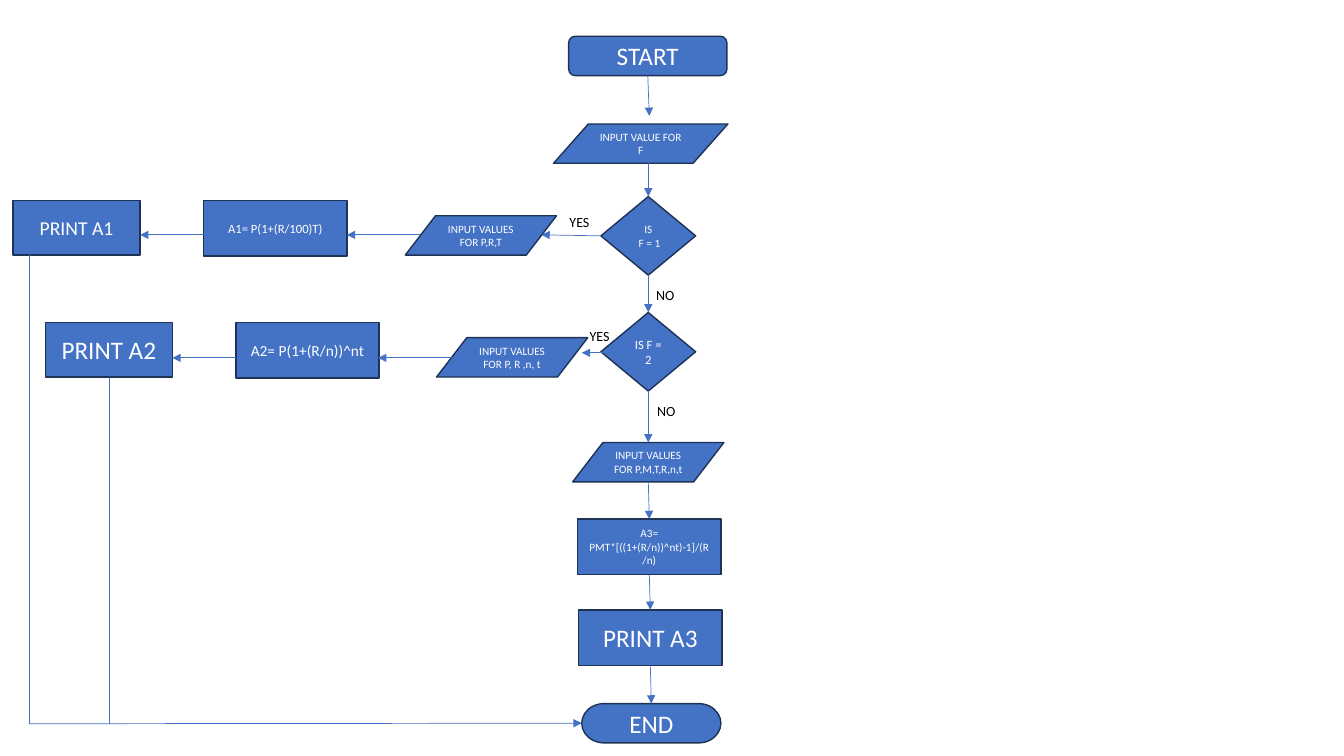
"""Build a flowchart slide that chooses between three interest formulas."""
from lxml import etree
from pptx import Presentation
from pptx.dml.color import RGBColor
from pptx.enum import shapes, text
from pptx.oxml import ns
from pptx.util import Inches, Pt

BLUE = RGBColor(0x44, 0x72, 0xC4)
NAVY = RGBColor(0x1E, 0x32, 0x56)
WHITE = RGBColor(0xFF, 0xFF, 0xFF)
BLACK = RGBColor(0, 0, 0)
FONT = "Calibri"
KIND = shapes.MSO_SHAPE
TOP, LEFT, BOTTOM = 0, 1, 2

SIZES = {
    "start": (KIND.FLOWCHART_ALTERNATE_PROCESS, 1.57, 0.39),
    "first input": (KIND.FLOWCHART_DATA, 1.73, 0.39),
    "input": (KIND.FLOWCHART_DATA, 1.5, 0.39),
    "decision": (KIND.FLOWCHART_DECISION, 0.94, 0.78),
    "formula": (KIND.FLOWCHART_PROCESS, 1.42, 0.55),
    "print": (KIND.FLOWCHART_PROCESS, 1.26, 0.54),
    "end": (KIND.FLOWCHART_TERMINATOR, 1.38, 0.39),
}

STEPS = {
    "start": ("start", 5.64, 0.36, "START", 18),
    "input F": ("first input", 5.49, 1.23, "INPUT VALUE FOR F", 8),
    "is 1": ("decision", 5.96, 1.95, "IS\n F = 1", 8),
    "is 2": ("decision", 5.96, 3.1, "IS F = 2", 9),
    "input 1": ("input", 4.02, 2.14, "INPUT VALUES FOR P,R,T", 8),
    "A1": ("formula", 2.02, 1.99, "A1= P(1+(R/100)T)", 9),
    "print 1": ("print", 0.13, 1.99, "PRINT A1", 14),
    "input 2": ("input", 4.33, 3.35, "INPUT VALUES FOR P, R ,n, t", 8),
    "A2": ("formula", 2.34, 3.2, "A2= P(1+(R/n))^nt", 11),
    "print 2": ("print", 0.45, 3.2, "PRINT A2", 18),
    "input 3": ("input", 5.68, 4.39, "INPUT VALUES FOR P,M,T,R,n,t", 8),
    "A3": ("formula", 5.73, 5.15, "A3= PMT*[((1+(R/n))^nt)-1]/(R/n)", 8),
    "print 3": ("formula", 5.74, 6.05, "PRINT A3", 18),
    "end": ("end", 5.77, 6.98, "END", 18),
}

# An end is either a point or a step with one of its sides.
LINKS = [
    (("start", BOTTOM), (6.44, 1.15), True),
    ((6.43, 1.62), ("is 1", TOP), True),
    (("is 1", LEFT), (5.37, 2.33), True),
    (("is 1", BOTTOM), ("is 2", TOP), True),
    ((4.17, 2.33), (3.44, 2.33), True),
    ((2.02, 2.33), (1.39, 2.33), True),
    ((6.14, 3.5), (5.77, 3.5), True),
    ((4.48, 3.55), (3.75, 3.55), True),
    ((2.34, 3.55), (1.71, 3.55), True),
    (("is 2", BOTTOM), (6.43, 4.39), True),
    ((6.43, 4.78), ("A3", TOP), True),
    (("A3", BOTTOM), ("print 3", TOP), True),
    (("print 3", BOTTOM), ("end", TOP), True),
    ((0.29, 2.53), (0.29, 7.18), False),
    ((0.29, 7.18), ("end", LEFT), True),
    (("print 2", BOTTOM), (1.08, 7.18), False),
]

LABELS = [("NO", 6.41, 2.79), ("YES", 5.55, 2.07), ("NO", 6.42, 3.94), ("YES", 5.75, 3.2)]


def write(sp, words, size, color, align):
    """Put text in a shape and format every run."""
    tf = sp.text_frame
    tf.text = words
    for p in tf.paragraphs:
        p.alignment = align
        for r in p.runs:
            r.font.name = FONT
            r.font.size = Pt(size)
            r.font.color.rgb = color
    return tf


def add_step(s, kind, x, y, words, size):
    """Add one flowchart box."""
    preset, w, h = SIZES[kind]
    sp = s.shapes.add_shape(preset, Inches(x), Inches(y), Inches(w), Inches(h))
    sp.shadow.inherit = False
    sp.fill.solid()
    sp.fill.fore_color.rgb = BLUE
    sp.line.color.rgb = NAVY
    sp.line.width = Pt(1)
    tf = write(sp, words, size, WHITE, text.PP_ALIGN.CENTER)
    tf.word_wrap = True
    tf.vertical_anchor = text.MSO_ANCHOR.MIDDLE


def add_link(s, boxes, start, finish, arrow):
    """Add a straight line, joined to boxes where its ends name them."""
    points = [(0, 0) if end[0] in boxes else end for end in (start, finish)]
    lengths = [Inches(v) for point in points for v in point]
    line = s.shapes.add_connector(shapes.MSO_CONNECTOR.STRAIGHT, *lengths)
    for end, join in ((start, line.begin_connect), (finish, line.end_connect)):
        if end[0] in boxes:
            join(boxes[end[0]], end[1])
    line.line.color.rgb = BLUE
    line.line.width = Pt(0.5)
    if arrow:
        ln = line.line._get_or_add_ln()
        etree.SubElement(ln, ns.qn("a:tailEnd"), type="triangle")
    etree.SubElement(line._element.spPr, ns.qn("a:effectLst"))


def add_label(s, words, x, y):
    """Add the answer beside a decision."""
    sp = s.shapes.add_textbox(Inches(x), Inches(y), Inches(0.4), Inches(0.27))
    tf = write(sp, words, 10, BLACK, text.PP_ALIGN.LEFT)
    tf.word_wrap = False
    tf.auto_size = text.MSO_AUTO_SIZE.SHAPE_TO_FIT_TEXT


def main():
    """Draw the flowchart and save it."""
    prs = Presentation()
    prs.slide_width, prs.slide_height = Inches(13.33), Inches(7.5)
    s = prs.slides.add_slide(prs.slide_layouts[6])
    for step in STEPS.values():
        add_step(s, *step)
    boxes = dict(zip(STEPS, s.shapes))
    for link in LINKS:
        add_link(s, boxes, *link)
    for label in LABELS:
        add_label(s, *label)
    prs.save("out.pptx")


if __name__ == "__main__":
    main()
